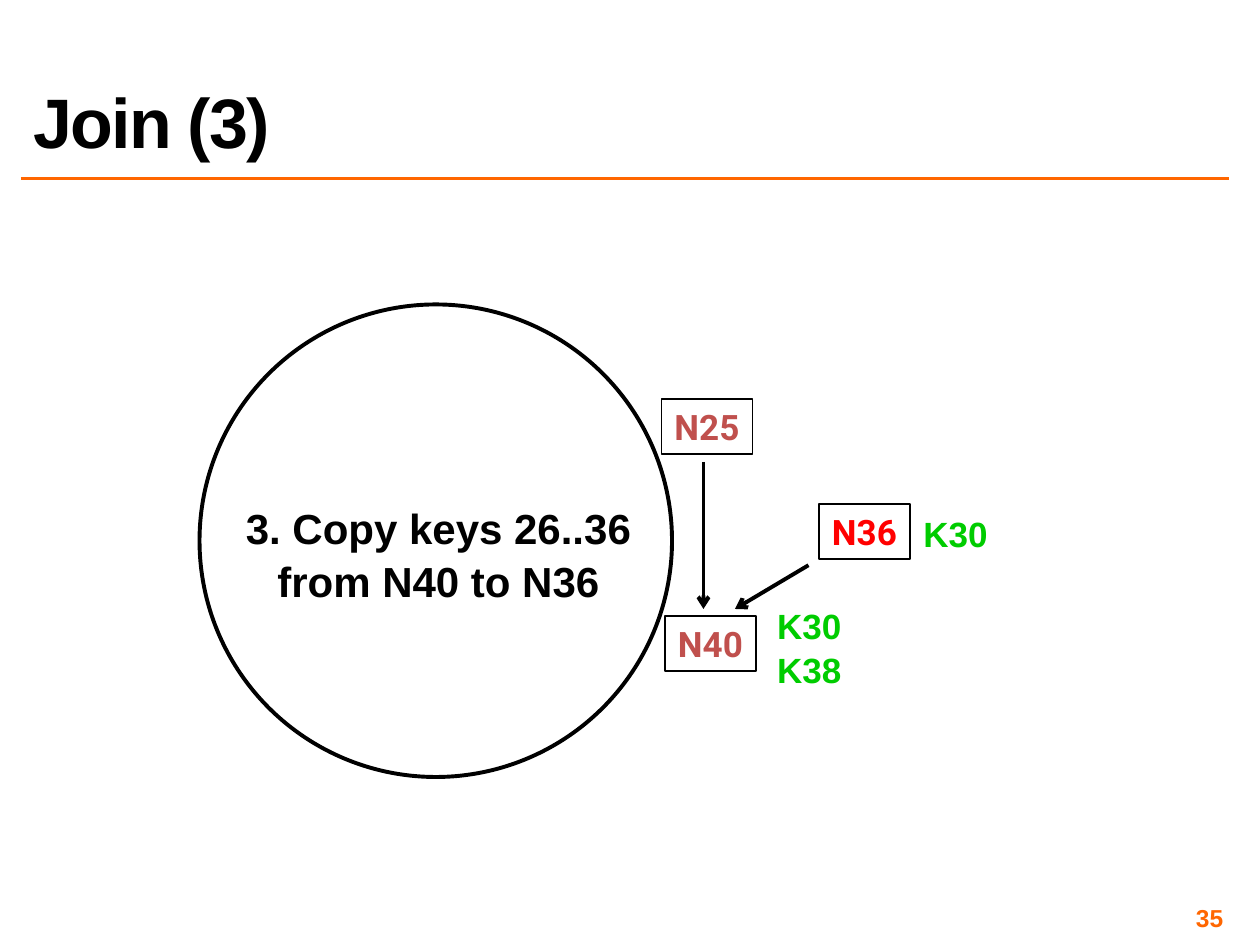
from lxml import etree
from pptx import Presentation
from pptx.dml.color import RGBColor
from pptx.enum.shapes import MSO_CONNECTOR, MSO_SHAPE
from pptx.enum.text import MSO_ANCHOR, MSO_AUTO_SIZE, PP_ALIGN
from pptx.oxml.ns import qn
from pptx.util import Pt

LEFT, MID, RIGHT = PP_ALIGN.LEFT, PP_ALIGN.CENTER, PP_ALIGN.RIGHT
MIDDLE, BOTTOM = MSO_ANCHOR.MIDDLE, MSO_ANCHOR.BOTTOM
GROW, FIXED = MSO_AUTO_SIZE.SHAPE_TO_FIT_TEXT, MSO_AUTO_SIZE.NONE
OVAL, RECT = MSO_SHAPE.OVAL, MSO_SHAPE.RECTANGLE
STRAIGHT = MSO_CONNECTOR.STRAIGHT

THEME = {
    "ink": "000000", "accent": "FF6600", "node": "C0504D",
    "fresh": "FF0000", "key": "00CC00",
    "font": "Arial", "label": "Roboto",
    "title": 40, "step": 24, "tag": 20, "page": 14,
    "thick": 2.25, "rule": 2, "thin": 0.75,
}

# Content: places are in points
TITLE = ("Join (3)", (12, 12, 690, 84))
PAGE = ("35", (534, 516, 168, 17))
RULE = (12, 102, 702, 102)
RING = (114, 174, 270, 270)
BOX = (52, 31.5)
NODES = [("N36", 468, 288, "fresh"), ("N40", 380, 352, "node"),
         ("N25", 378, 228, "node")]
ARROWS = [(402, 264, 402, 348), (462, 323, 420, 348)]
NOTES = [
    (["3. Copy keys 26..36", "from N40 to N36"],
     (132, 282, 237, 65.5), "step", "ink"),
    (["K30", "K38"], (436.5, 340.5, 52, 55.5), "tag", "key"),
    (["K30"], (520, 288, 52, 31.5), "tag", "key"),
]


def color(name):
    return RGBColor.from_string(THEME[name])


def points(place):
    return [Pt(n) for n in place]


def write(frame, lines, size, tint, face="font", align=MID, space=None):
    frame.text = "\n".join(lines)
    style = {"name": THEME[face], "size": Pt(THEME[size]), "bold": True}
    for para in frame.paragraphs:
        para.alignment = align
        para.line_spacing = space
        for key, value in style.items():
            setattr(para.font, key, value)
        para.font.color.rgb = color(tint)


def fit(frame):
    """Let the box take the size of its unwrapped text."""
    frame.word_wrap = False
    frame.auto_size = GROW


def outline(slide, kind, place, width):
    shape = slide.shapes.add_shape(kind, *points(place))
    shape.shadow.inherit = False
    shape.fill.background()
    shape.line.color.rgb = color("ink")
    shape.line.width = Pt(THEME[width])
    return shape


def stroke(slide, ends, tint, width, arrow=False):
    line = slide.shapes.add_connector(STRAIGHT, *points(ends))
    line.line.color.rgb = color(tint)
    line.line.width = Pt(THEME[width])
    if arrow:
        etree.SubElement(line.line._get_or_add_ln(), qn("a:tailEnd"),
                         type="arrow")
    etree.SubElement(line._element.spPr, qn("a:effectLst"))


def head(slide):
    text, place = TITLE
    title = slide.shapes.title
    for key, value in zip(("left", "top", "width", "height"), points(place)):
        setattr(title, key, value)
    frame = title.text_frame
    frame.vertical_anchor = BOTTOM
    frame.auto_size = FIXED
    write(frame, [text], "title", "ink", align=LEFT, space=0.8)
    run = frame.paragraphs[0].runs[0]
    run._r.get_or_add_rPr().set("spc", "-100")


def number(slide):
    text, place = PAGE
    frame = slide.shapes.add_textbox(*points(place)).text_frame
    frame.word_wrap = True
    frame.vertical_anchor = MIDDLE
    for side in ("left", "top", "right", "bottom"):
        setattr(frame, "margin_" + side, Pt(3))
    write(frame, [text], "page", "accent", align=RIGHT)


def main():
    deck = Presentation()
    deck.slide_width, deck.slide_height = Pt(720), Pt(540)
    slide = deck.slides.add_slide(deck.slide_layouts[5])
    stroke(slide, RULE, "accent", "rule")
    number(slide)
    head(slide)
    outline(slide, OVAL, RING, "thick")
    for name, left, top, tint in NODES:
        frame = outline(slide, RECT, (left, top, *BOX), "thin").text_frame
        fit(frame)
        write(frame, [name], "tag", tint, "label")
    for ends in ARROWS:
        stroke(slide, ends, "ink", "thick", arrow=True)
    for lines, place, size, tint in NOTES:
        frame = slide.shapes.add_textbox(*points(place)).text_frame
        fit(frame)
        write(frame, lines, size, tint, space=1.05)
    deck.save("out.pptx")


if __name__ == "__main__":
    main()
